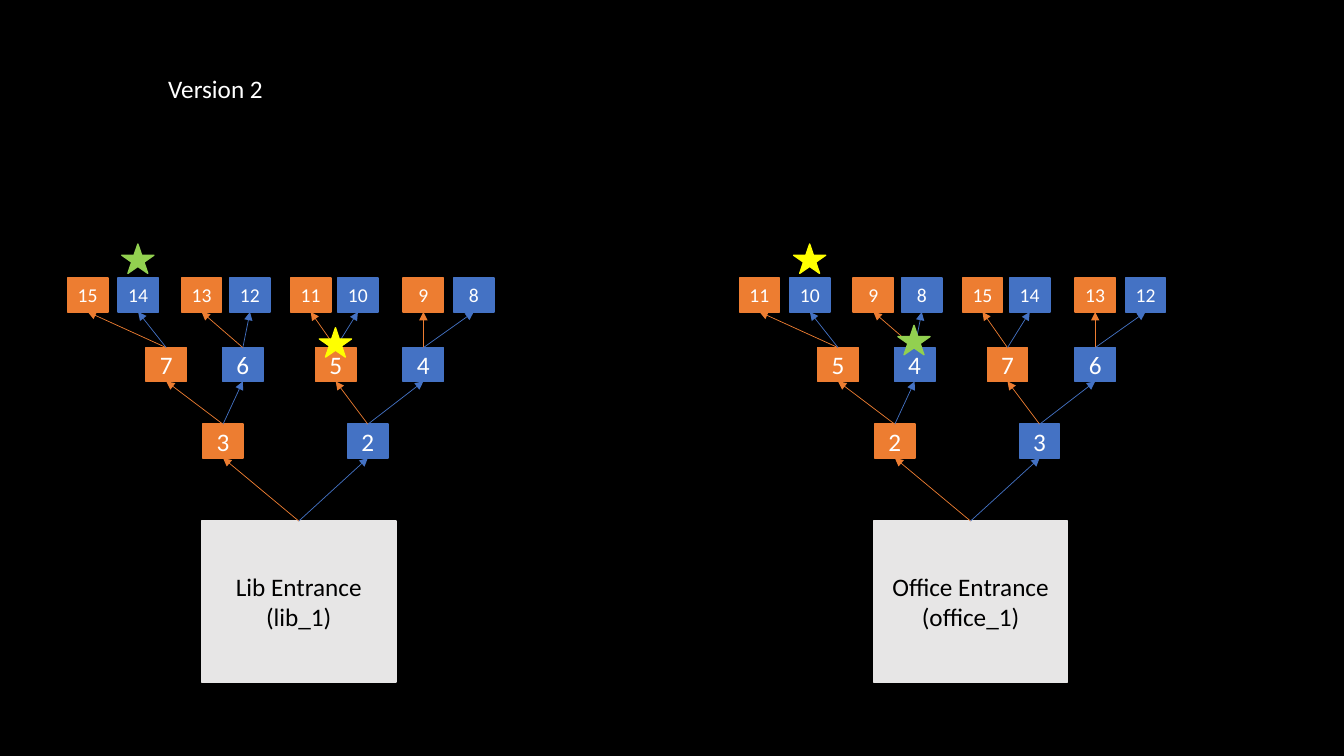
from dataclasses import dataclass

from lxml import etree
from pptx import Presentation
from pptx.dml.color import RGBColor
from pptx.enum.shapes import MSO_CONNECTOR, MSO_SHAPE
from pptx.enum.text import MSO_ANCHOR, MSO_AUTO_SIZE, PP_ALIGN
from pptx.oxml.ns import qn
from pptx.util import Cm, Pt

RECTANGLE = MSO_SHAPE.RECTANGLE
STAR = MSO_SHAPE.STAR_5_POINT
STRAIGHT = MSO_CONNECTOR.STRAIGHT
MIDDLE = MSO_ANCHOR.MIDDLE
CENTER = PP_ALIGN.CENTER
FIT_SHAPE = MSO_AUTO_SIZE.SHAPE_TO_FIT_TEXT
TOP, BOTTOM = 0, 2

TREE_SPACING = 16.93
NODE_SIZE = (1.02, 0.85)
STAR_SIZE = (0.81, 0.74)
ENTRANCE_BOX = (5.08, 13.13, 4.9, 4.06)
LEVELS = [
    (10.69, [5.11, 8.76]),
    (8.76, [3.68, 5.61, 7.95, 10.16]),
    (7.01, [1.7, 2.97, 4.57, 5.79, 7.32, 8.51, 10.16, 11.43]),
]


@dataclass(frozen=True)
class Theme:
    """Colours and type sizes of the slide."""

    font: str = "Calibri"
    background: str = "000000"
    light_text: str = "FFFFFF"
    dark_text: str = "000000"
    entrance: str = "E7E6E6"
    left_branch: str = "ED7D31"
    right_branch: str = "4472C4"
    green: str = "92D050"
    yellow: str = "FFFF00"
    body_size: int = 18
    leaf_size: int = 14


class TreeSlide:
    """Draws entrance trees on one slide in one style."""

    def __init__(self, slide, theme):
        """Keep the slide and theme, and paint the background."""
        self.slide = slide
        self.theme = theme
        fill = slide.background.fill
        fill.solid()
        fill.fore_color.rgb = RGBColor.from_string(theme.background)

    def add_text(self, paragraph, text, size, color):
        """Add one styled run to a paragraph."""
        run = paragraph.add_run()
        run.text = text
        run.font.name = self.theme.font
        run.font.size = Pt(size)
        run.font.color.rgb = RGBColor.from_string(color)

    def add_title(self, text, left, top, width, height):
        """Add a plain text box."""
        box = self.slide.shapes.add_textbox(Cm(left), Cm(top), Cm(width), Cm(height))
        frame = box.text_frame
        frame.word_wrap = True
        frame.auto_size = FIT_SHAPE
        self.add_text(frame.paragraphs[0], text, self.theme.body_size, self.theme.light_text)

    def add_figure(self, kind, left, top, width, height, color):
        """Add a preset shape in a single colour."""
        shape = self.slide.shapes.add_shape(kind, Cm(left), Cm(top), Cm(width), Cm(height))
        shape.shadow.inherit = False
        shape.fill.solid()
        shape.fill.fore_color.rgb = RGBColor.from_string(color)
        shape.line.color.rgb = RGBColor.from_string(color)
        shape.line.width = Pt(1)
        return shape

    def add_box(self, text, left, top, width, height, color, size, text_color, wrap):
        """Add a rectangle with a centred label."""
        shape = self.add_figure(RECTANGLE, left, top, width, height, color)
        frame = shape.text_frame
        frame.word_wrap = wrap
        frame.vertical_anchor = MIDDLE
        paragraph = frame.paragraphs[0]
        paragraph.alignment = CENTER
        self.add_text(paragraph, text, size, text_color)
        return shape

    def add_branch(self, parent, child, color):
        """Join a parent's top to its child's bottom with an arrow."""
        connector = self.slide.shapes.add_connector(STRAIGHT, 0, 0, 0, 0)
        connector.begin_connect(parent, TOP)
        connector.end_connect(child, BOTTOM)
        connector.line.color.rgb = RGBColor.from_string(color)
        connector.line.width = Pt(0.5)
        outline = connector.line._get_or_add_ln()
        etree.SubElement(outline, qn("a:tailEnd"), type="triangle")
        etree.SubElement(connector._element.spPr, qn("a:effectLst"))

    def add_tree(self, offset, entrance, labels, stars):
        """Add an entrance, its binary tree of nodes and the marking stars."""
        theme = self.theme
        left, *rest = ENTRANCE_BOX
        root = self.add_box(entrance, left + offset, *rest, theme.entrance,
                            theme.body_size, theme.dark_text, True)
        parents, branches = [root], []
        for (top, lefts), numbers in zip(LEVELS, labels):
            size = theme.leaf_size if len(lefts) == 8 else theme.body_size
            nodes = []
            for index, (left, number) in enumerate(zip(lefts, numbers)):
                color = theme.right_branch if index % 2 else theme.left_branch
                node = self.add_box(str(number), left + offset, top, *NODE_SIZE,
                                    color, size, theme.light_text, False)
                nodes.append(node)
                branches.append((parents[index // 2], node, color))
            parents = nodes
        for branch in branches:
            self.add_branch(*branch)
        for left, top, color in stars:
            self.add_figure(STAR, left + offset, top, *STAR_SIZE, color)


def main():
    """Build the slide with both trees and save it."""
    presentation = Presentation()
    presentation.slide_width = Cm(33.87)
    presentation.slide_height = Cm(19.05)
    theme = Theme()
    page = TreeSlide(presentation.slides.add_slide(presentation.slide_layouts[6]), theme)
    page.add_title("Version 2", 3.99, 1.73, 3.53, 1.02)
    page.add_tree(
        0, "Lib Entrance (lib_1)",
        [[3, 2], [7, 6, 5, 4], [15, 14, 13, 12, 11, 10, 9, 8]],
        [(3.07, 6.15, theme.green), (8.05, 8.26, theme.yellow)],
    )
    page.add_tree(
        TREE_SPACING, "Office Entrance (office_1)",
        [[2, 3], [5, 4, 7, 6], [11, 10, 9, 8, 15, 14, 13, 12]],
        [(3.07, 6.15, theme.yellow), (5.7, 8.2, theme.green)],
    )
    presentation.save("out.pptx")


if __name__ == "__main__":
    main()
